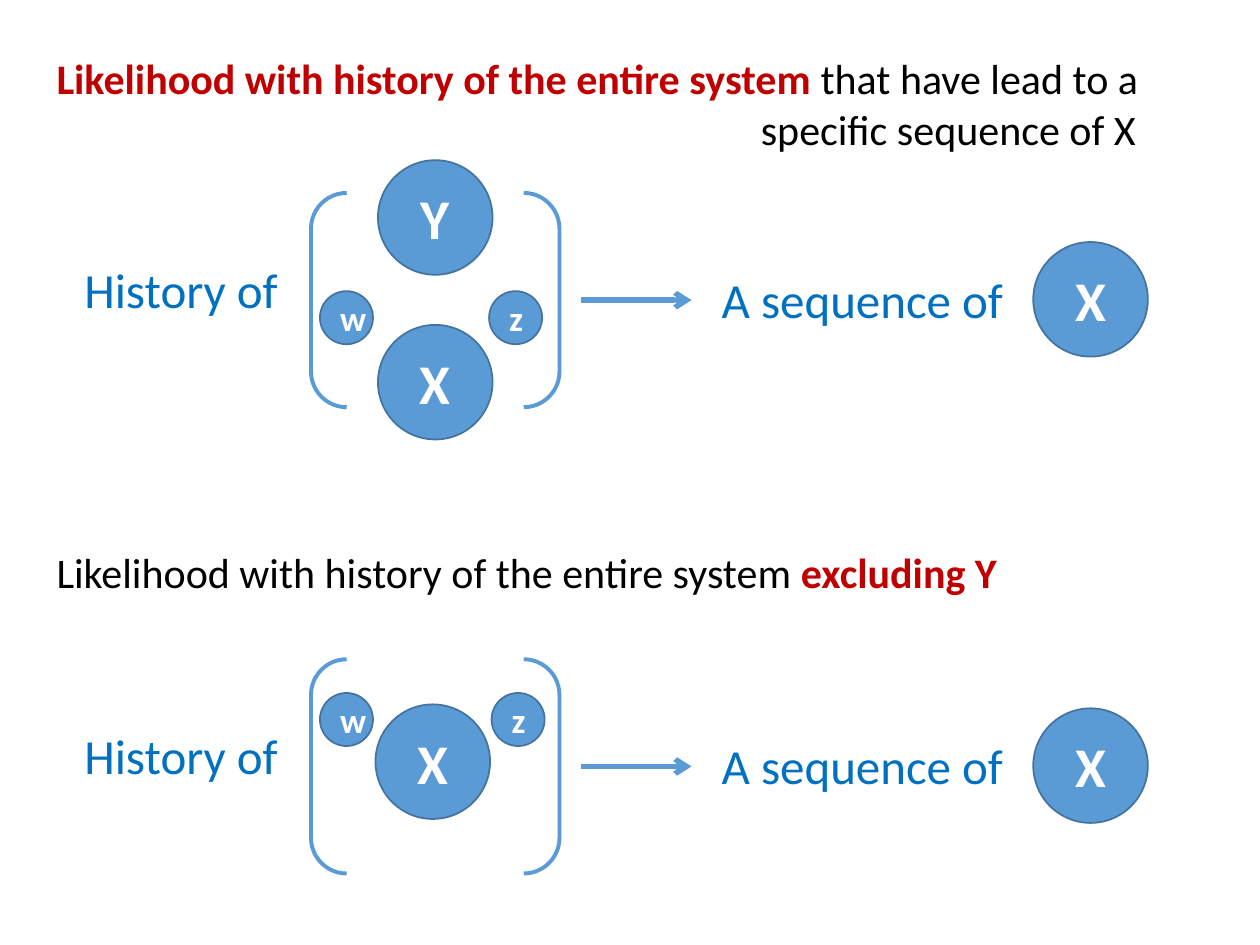
import pptx
import pptx.dml.color
import pptx.enum.shapes
import pptx.enum.text
import pptx.oxml.ns
import pptx.util
from lxml import etree

Cm, Pt = pptx.util.Cm, pptx.util.Pt
Align = pptx.enum.text.PP_ALIGN
Kind = pptx.enum.shapes.MSO_SHAPE
qn = pptx.oxml.ns.qn
color = {
    name: pptx.dml.color.RGBColor.from_string(code)
    for name, code in {
        "blue": "5B9BD5", "edge": "43739E", "label": "0070C0",
        "red": "C00000", "black": "000000", "white": "FFFFFF",
    }.items()
}

deck = pptx.Presentation()
deck.slide_width, deck.slide_height = Cm(25.4), Cm(19.05)
slide = deck.slides.add_slide(deck.slide_layouts[6])
shapes = slide.shapes


def add_text(x, y, w, h, lines, size, wrap=False):
    """Each line is a list of (text, color, bold) parts."""
    box = shapes.add_textbox(Cm(x), Cm(y), Cm(w), Cm(h))
    frame = box.text_frame
    frame.word_wrap = wrap
    frame.auto_size = pptx.enum.text.MSO_AUTO_SIZE.SHAPE_TO_FIT_TEXT
    for i, parts in enumerate(lines):
        para = frame.add_paragraph() if i else frame.paragraphs[0]
        for text, tone, bold in parts:
            run = para.add_run()
            run.text = text
            font = run.font
            font.name, font.size, font.bold = "Calibri", Pt(size), bold
            font.color.rgb = color[tone]
    return frame


def add_node(text, x, y, side, size):
    node = shapes.add_shape(Kind.OVAL, Cm(x), Cm(y), Cm(side), Cm(side))
    node.shadow.inherit = False
    node.fill.solid()
    node.fill.fore_color.rgb = color["blue"]
    node.line.color.rgb = color["edge"]
    node.line.width = Pt(1)
    frame = node.text_frame
    frame.text = text
    frame.vertical_anchor = pptx.enum.text.MSO_ANCHOR.MIDDLE
    para = frame.paragraphs[0]
    para.alignment = Align.CENTER
    font = para.runs[0].font
    font.name, font.size, font.bold = "Calibri", Pt(size), True
    font.color.rgb = color["white"]


# Headings
base = "Likelihood with history of the entire system "
head = add_text(0.89, 0.94, 22.45, 2.31, [
    [(base, "red", True), ("that have lead to a", "black", False)],
    [("specific sequence of X ", "black", False)],
], 24, wrap=True)
head.paragraphs[1].alignment = Align.RIGHT
add_text(0.89, 10.9, 19.53, 1.27,
         [[(base, "black", False), ("excluding Y", "red", True)]], 24)

# Nodes inside each bracket: text, left, drop from the bracket top
big, small = (2.31, 32), (1.07, 20)
full = [("Y", 7.62, -0.66, big), ("X", 7.62, 2.66, big),
        ("w", 6.45, 1.98, small), ("z", 9.86, 1.98, small)]
part = [("X", 7.57, 0.91, big),
        ("w", 6.45, 0.68, small), ("z", 9.91, 0.68, small)]

for top, nodes in ((3.89, full), (13.29, part)):
    # Bracket around the system
    pair = shapes.add_shape(Kind.DOUBLE_BRACKET,
                            Cm(6.27), Cm(top), Cm(5.01), Cm(4.32))
    pair.shadow.inherit = False
    pair.fill.background()
    pair.line.color.rgb = color["blue"]
    pair.line.width = Pt(2.25)

    # System and its outcome
    for text, x, drop, (side, size) in nodes + [("X", 20.83, 0.99, big)]:
        add_node(text, x, top + drop, side, size)

    # Arrow
    mid = Cm(top + 2.16)
    arrow = shapes.add_connector(pptx.enum.shapes.MSO_CONNECTOR.STRAIGHT,
                                 Cm(11.71), mid, Cm(13.94), mid)
    arrow.line.color.rgb = color["blue"]
    arrow.line.width = Pt(3)
    etree.SubElement(arrow.line._get_or_add_ln(), qn("a:tailEnd"), type="arrow")
    etree.SubElement(arrow._element.spPr, qn("a:effectLst"))

    # Labels
    for text, x, drop, w in (("History of", 1.45, 1.22, 4.45),
                             ("A sequence of", 14.3, 1.42, 6.25)):
        add_text(x, top + drop, w, 1.45, [[(text, "label", False)]], 28)

deck.save("out.pptx")
